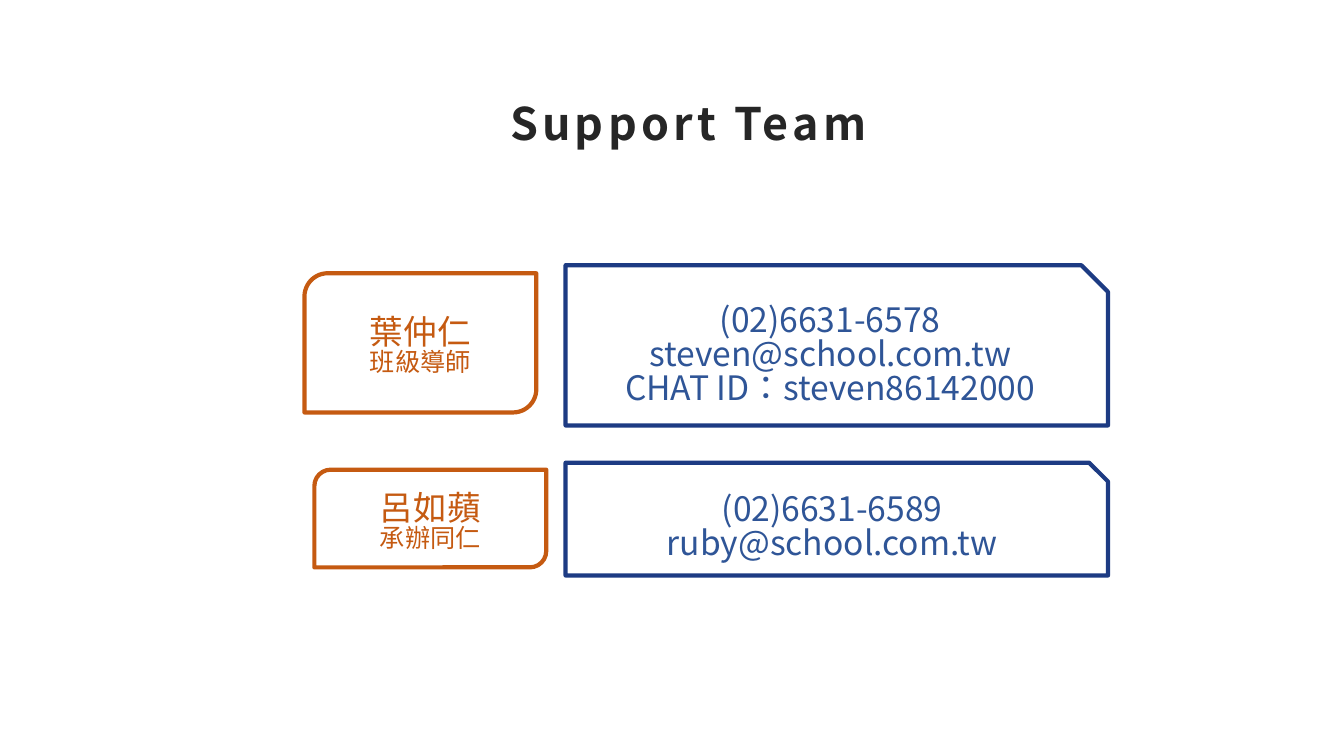
from lxml import etree
from pptx import Presentation
from pptx.dml.color import RGBColor
from pptx.enum.shapes import MSO_SHAPE
from pptx.enum.text import MSO_ANCHOR, PP_ALIGN
from pptx.oxml.ns import qn
from pptx.util import Pt

ORANGE = RGBColor(0xC5, 0x5A, 0x11)
NAVY = RGBColor(0x1D, 0x3B, 0x83)
BLUE = RGBColor(0x2F, 0x55, 0x97)
DARK = RGBColor(0x26, 0x26, 0x26)

ROUNDED = MSO_SHAPE.ROUND_2_DIAG_RECTANGLE
SNIPPED = MSO_SHAPE.SNIP_1_RECTANGLE
CENTER = PP_ALIGN.CENTER
MIDDLE = MSO_ANCHOR.MIDDLE

BODY_FONT = "Noto Sans CJK SC"
TITLE_FONT = "Noto Sans CJK TC"
NAME_SIZES = (24, 18)
CONTACT_SIZES = (24, 24, 24)

# Boxes as left, top, width, height in points
MEMBERS = [
    {
        "name_box": (217.5, 195.2, 165.6, 99.4),
        "name": ["葉仲仁", "班級導師"],
        "contact_box": (404, 189.4, 387.4, 114.5),
        "contact": ["(02)6631-6578", "steven@school.com.tw",
                    "CHAT ID：steven86142000"],
    },
    {
        "name_box": (224.6, 335.5, 165.6, 69.8),
        "name": ["呂如蘋", "承辦同仁"],
        "contact_box": (404, 330.5, 387.4, 80.6),
        "contact": ["(02)6631-6589", "ruby@school.com.tw"],
    },
]


def format_run(r, color, **font):
    for key, value in font.items():
        setattr(r.font, key, value)
    r.font.color.rgb = color
    rPr = r.font._element
    rPr.set("lang", "zh-TW")
    etree.SubElement(rPr, qn("a:ea")).set("typeface", font["name"])


def add_title(slide, text):
    sp = slide.shapes.title
    sp.left, sp.top, sp.width, sp.height = map(Pt, (77.8, 50.4, 828, 79.2))
    tf = sp.text_frame
    tf.vertical_anchor = MIDDLE
    p = tf.paragraphs[0]
    p.alignment, p.line_spacing = CENTER, 0.9
    r = p.add_run()
    r.text = text
    format_run(r, DARK, name=TITLE_FONT, size=Pt(32), bold=True)
    r.font._element.set("spc", "300")


def add_card(slide, preset, box, lines, sizes, line_color, text_color):
    sp = slide.shapes.add_shape(preset, *map(Pt, box))
    sp.shadow.inherit = False
    sp.fill.background()
    sp.line.color.rgb = line_color
    sp.line.width = Pt(3)
    tf = sp.text_frame
    frame = {"word_wrap": True, "vertical_anchor": MIDDLE, "margin_top": Pt(9.6)}
    for key, value in frame.items():
        setattr(tf, key, value)
    for i, (text, size) in enumerate(zip(lines, sizes)):
        p = tf.add_paragraph() if i else tf.paragraphs[0]
        p.alignment, p.line_spacing = CENTER, 0.84
        r = p.add_run()
        r.text = text
        format_run(r, text_color, name=BODY_FONT, size=Pt(size))


def main():
    prs = Presentation()
    prs.slide_width, prs.slide_height = Pt(960), Pt(540)
    slide = prs.slides.add_slide(prs.slide_layouts[5])

    add_title(slide, "Support Team")

    # One name card and one contact card for each member
    for m in MEMBERS:
        add_card(slide, ROUNDED, m["name_box"], m["name"],
                 NAME_SIZES, ORANGE, ORANGE)
        add_card(slide, SNIPPED, m["contact_box"], m["contact"],
                 CONTACT_SIZES, NAVY, BLUE)

    prs.save("out.pptx")


if __name__ == "__main__":
    main()
